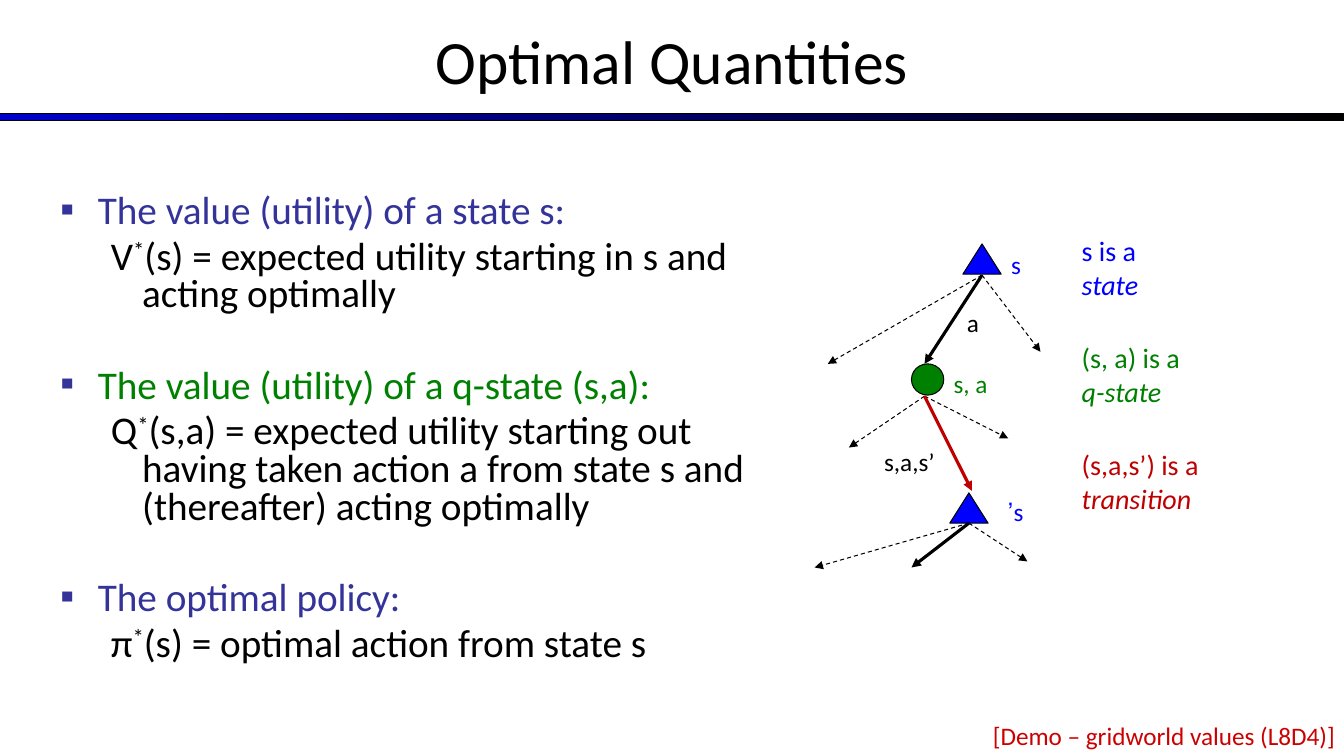
from dataclasses import dataclass

from lxml.etree import SubElement
from pptx import Presentation
from pptx.dml.color import RGBColor
from pptx.enum.dml import MSO_LINE
from pptx.enum.shapes import MSO_CONNECTOR, MSO_SHAPE
from pptx.enum.text import MSO_ANCHOR, MSO_AUTO_SIZE, PP_ALIGN
from pptx.oxml.ns import qn
from pptx.util import Emu, Pt

EMU_PER_PX = 9144  # 100 px to the inch
FONT = "Calibri"
BLACK, BLUE, GREEN, RED = "000000", "0000FF", "008000", "C00000"
INDIGO, DEMO_RED, BAR_BLUE = "333399", "CC0000", "0000CC"
GAP = 5.6  # points above each paragraph
SECTION_GAP = 38.5  # points above a later section


@dataclass
class Section:
    heading: str
    color: str
    symbol: str
    meaning: str


@dataclass
class Node:
    kind: MSO_SHAPE
    box: tuple[int, int, int, int]
    color: str


@dataclass
class Arrow:
    tip: tuple[int, int]
    color: str = BLACK
    bold: bool = False


@dataclass
class Fan:
    root: tuple[int, int]
    arrows: list[Arrow]


@dataclass
class Label:
    text: str
    box: tuple[int, int, int, int]
    color: str
    size: int = 18
    emphasis: str = ""
    align: PP_ALIGN = PP_ALIGN.LEFT
    right_to_left: bool = False


SECTIONS = [
    Section("The value (utility) of a state s:", INDIGO, "V",
            "(s) = expected utility starting in s and acting optimally"),
    Section("The value (utility) of a q-state (s,a):", GREEN, "Q",
            "(s,a) = expected utility starting out having taken action a "
            "from state s and (thereafter) acting optimally"),
    Section("The optimal policy:", INDIGO, "π", "(s) = optimal action from state s"),
]
NODES = [
    Node(MSO_SHAPE.ISOSCELES_TRIANGLE, (955, 242, 38, 30), BLUE),
    Node(MSO_SHAPE.ISOSCELES_TRIANGLE, (942, 489, 38, 30), BLUE),
    Node(MSO_SHAPE.OVAL, (904, 361, 32, 31), GREEN),
]
FANS = [
    Fan((974, 273), [Arrow((821, 361)), Arrow((917, 361), bold=True), Arrow((1032, 349))]),
    Fan((917, 393), [Arrow((842, 444)), Arrow((1000, 435)), Arrow((964, 487), RED, True)]),
    Fan((961, 519), [Arrow((808, 563)), Arrow((904, 563), bold=True), Arrow((1019, 557))]),
]
LABELS = [
    Label("a", (949, 300, 32, 40), BLACK),
    Label("s", (993, 242, 32, 40), BLUE),
    Label("s’", (983, 487, 42, 40), BLUE, align=PP_ALIGN.RIGHT, right_to_left=True),
    Label("s, a", (936, 361, 64, 40), GREEN),
    Label("s,a,s’", (867, 438, 90, 40), BLACK),
    Label("s is a ", (1063, 227, 115, 77), BLUE, 20, "state"),
    Label("(s, a) is a ", (1063, 333, 142, 77), GREEN, 20, "q-state"),
    Label("(s,a,s’) is a ", (1063, 439, 237, 77), RED, 20, "transition"),
    Label("[Demo – gridworld values (L8D4)]", (642, 710, 692, 40), DEMO_RED,
          align=PP_ALIGN.RIGHT),
]


def px(value: int) -> Emu:
    return Emu(value * EMU_PER_PX)


def rgb(value: str) -> RGBColor:
    return RGBColor.from_string(value)


def apply(target, **formats) -> None:
    for name, value in formats.items():
        setattr(target, name, value)


def place(shape, box: tuple[int, int, int, int]) -> None:
    apply(shape, **dict(zip(("left", "top", "width", "height"), map(px, box))))


def add_span(para, text: str, size: int, color: str, **formats):
    span = para.add_run()
    span.text = text
    apply(span.font, name=FONT, size=Pt(size), **formats)
    span.font.color.rgb = rgb(color)
    return span


def set_indent(para, left: int, first: int, bullet: str = "") -> None:
    properties = para._p.get_or_add_pPr()
    properties.set("marL", str(px(left)))
    properties.set("indent", str(px(first)))
    if bullet:
        bullet_color = SubElement(properties, qn("a:buClr"))
        SubElement(bullet_color, qn("a:srgbClr")).set("val", INDIGO)
        SubElement(properties, qn("a:buFont")).set("typeface", FONT)
        SubElement(properties, qn("a:buChar")).set("char", bullet)
    else:
        SubElement(properties, qn("a:buNone"))


def fill_title(title) -> None:
    place(title, (0, -3, 1333, 125))
    apply(title.text_frame, vertical_anchor=MSO_ANCHOR.MIDDLE, word_wrap=True,
          auto_size=MSO_AUTO_SIZE.NONE)
    para = title.text_frame.paragraphs[0]
    para.alignment = PP_ALIGN.CENTER
    add_span(para, "Optimal Quantities", 44, BLACK)


def fill_body(body) -> None:
    place(body, (50, 188, 733, 496))
    frame = body.text_frame
    apply(frame, vertical_anchor=MSO_ANCHOR.TOP, word_wrap=True,
          auto_size=MSO_AUTO_SIZE.NONE)
    for index, section in enumerate(SECTIONS):
        heading = frame.add_paragraph() if index else frame.paragraphs[0]
        apply(heading, line_spacing=0.8, space_before=Pt(SECTION_GAP if index else 0))
        set_indent(heading, 37, -37, "▪")
        add_span(heading, section.heading, 28, section.color)

        definition = frame.add_paragraph()
        apply(definition, level=1, line_spacing=0.8, space_before=Pt(GAP))
        set_indent(definition, 81, -31)
        add_span(definition, section.symbol, 28, BLACK)
        star = add_span(definition, "*", 28, BLACK)
        star._r.get_or_add_rPr().set("baseline", "30000")
        add_span(definition, section.meaning, 28, BLACK)


def add_outlined(page, kind: MSO_SHAPE, box: tuple[int, int, int, int]):
    shape = page.shapes.add_shape(kind, *map(px, box))
    shape.shadow.inherit = False
    shape.line.color.rgb = rgb(BLACK)
    shape.line.width = Pt(0.75)
    return shape


def add_bar(page) -> None:
    bar = add_outlined(page, MSO_SHAPE.RECTANGLE, (0, 113, 1333, 7))
    bar.fill.gradient()
    bar.fill.gradient_angle = 0
    for stop, color in zip(bar.fill.gradient_stops, (BAR_BLUE, BLACK)):
        stop.color.rgb = rgb(color)


def add_node(page, node: Node) -> None:
    shape = add_outlined(page, node.kind, node.box)
    shape.fill.solid()
    shape.fill.fore_color.rgb = rgb(node.color)


def add_arrow(page, root: tuple[int, int], arrow: Arrow) -> None:
    line = page.shapes.add_connector(MSO_CONNECTOR.STRAIGHT, *map(px, root + arrow.tip))
    line.line.color.rgb = rgb(arrow.color)
    line.line.width = Pt(2.25 if arrow.bold else 0.75)
    if not arrow.bold:
        line.line.dash_style = MSO_LINE.DASH
    properties = line._element.spPr
    SubElement(properties.find(qn("a:ln")), qn("a:tailEnd")).set("type", "triangle")
    SubElement(properties, qn("a:effectLst"))


def add_label(page, label: Label) -> None:
    frame = page.shapes.add_textbox(*map(px, label.box)).text_frame
    apply(frame, word_wrap=True, auto_size=MSO_AUTO_SIZE.SHAPE_TO_FIT_TEXT)
    para = frame.paragraphs[0]
    para.alignment = label.align
    if label.right_to_left:
        para._p.get_or_add_pPr().set("rtl", "1")
    add_span(para, label.text, label.size, label.color)
    if label.emphasis:
        para.add_line_break()
        add_span(para, label.emphasis, label.size, label.color, italic=True)


def main() -> None:
    deck = Presentation()
    apply(deck, slide_width=px(1333), slide_height=px(750))
    page = deck.slides.add_slide(deck.slide_layouts[1])

    # Heading and definitions
    add_bar(page)
    fill_title(page.shapes.title)
    fill_body(page.placeholders[1])

    # Search tree with its labels
    for node in NODES:
        add_node(page, node)
    for fan in FANS:
        for arrow in fan.arrows:
            add_arrow(page, fan.root, arrow)
    for label in LABELS:
        add_label(page, label)

    deck.save("out.pptx")


if __name__ == "__main__":
    main()
